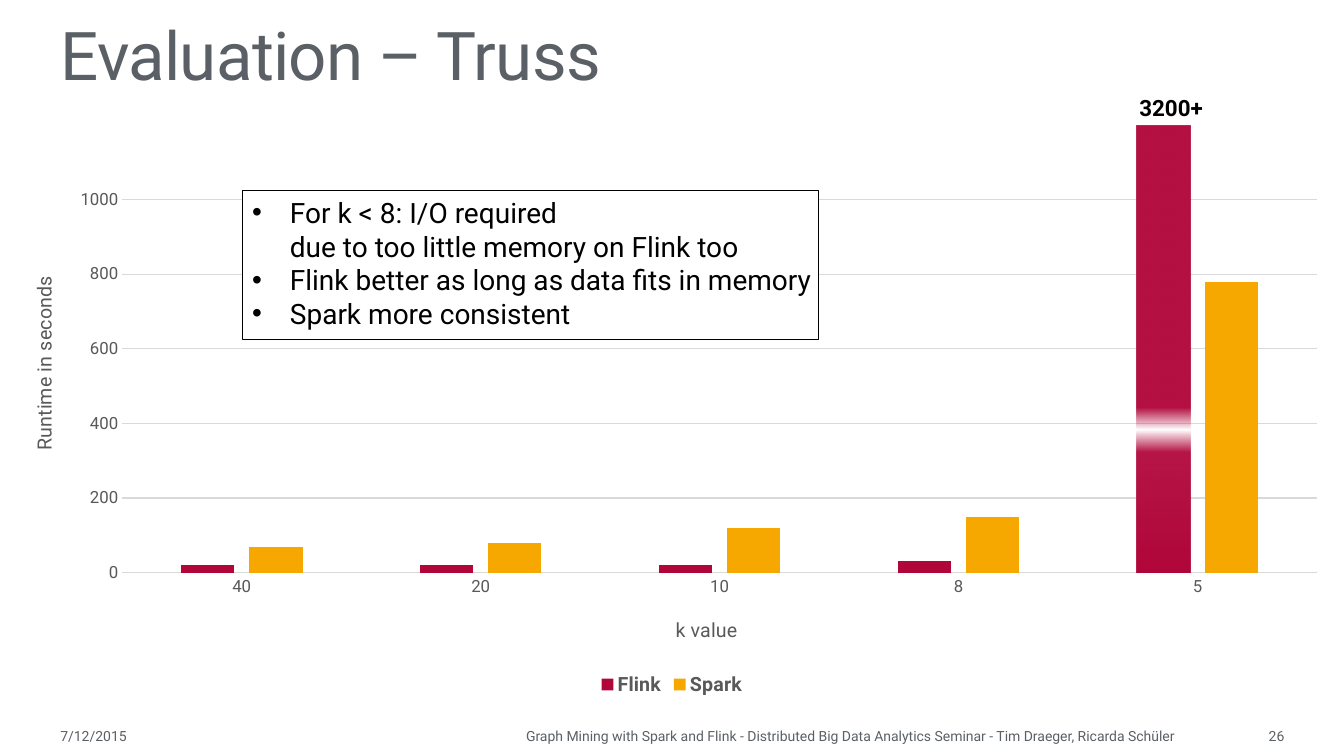
"""Build the Truss evaluation slide: a runtime chart with notes and a footer."""
from dataclasses import dataclass

from pptx import Presentation, oxml
from pptx import util as u
from pptx.chart import data as cd
from pptx.dml import color as co
from pptx.enum import chart as ch, shapes as sh, text as tx
from pptx.oxml import ns

FONT = "Roboto"
SLATE = co.RGBColor(0x5A, 0x60, 0x65)
GRAY = co.RGBColor(0x59, 0x59, 0x59)
PALE = co.RGBColor(0xD9, 0xD9, 0xD9)
BLACK = co.RGBColor(0, 0, 0)
WHITE = co.RGBColor(0xFF, 0xFF, 0xFF)
RED = co.RGBColor(0xB1, 0x06, 0x3A)
GOLD = co.RGBColor(0xF6, 0xA8, 0x00)
LEFT, MID, RIGHT = tx.PP_ALIGN.LEFT, tx.PP_ALIGN.CENTER, tx.PP_ALIGN.RIGHT


@dataclass
class Label:
    text: str
    box: tuple
    size: float
    color: co.RGBColor
    align: tx.PP_ALIGN = LEFT
    bold: bool = False
    wrap: bool = True
    anchor: tx.MSO_ANCHOR = tx.MSO_ANCHOR.MIDDLE


@dataclass
class Series:
    name: str
    vals: tuple
    color: co.RGBColor


@dataclass
class Stop:
    pos: int
    color: str
    alpha: int = 100


LABELS = [
    Label("7/12/2015", (36, 512, 75.5, 28), 10, SLATE),
    Label("Graph Mining with Spark and Flink - Distributed Big Data Analytics "
          "Seminar - Tim Draeger, Ricarda Schüler",
          (114.5, 512, 731.5, 28), 10, SLATE, RIGHT),
    Label("26", (849, 512, 75.5, 28), 10, SLATE, RIGHT),
]
PEAK = Label("3200+", (800.5, 64, 72, 35.5), 16, BLACK, MID, True, False,
             tx.MSO_ANCHOR.TOP)
SERIES = [
    Series("Flink", (20, 20, 20, 30, 3200), RED),
    Series("Spark", (70, 80, 120, 150, 780), GOLD),
]
STOPS = [Stop(63, "B41042"), Stop(68, "B1063A", 0), Stop(73, "B61647"),
         Stop(100, "B1063A")]
NOTES = [
    ("For k < 8: I/O required", "due to too little memory on Flink too"),
    ("Flink better as long as data fits in memory",),
    ("Spark more consistent",),
]


def style(font, size: float, color: co.RGBColor, bold: bool = False) -> None:
    font.name, font.size, font.bold = FONT, u.Pt(size), bold
    font.color.rgb = color


def place(shape, box: tuple) -> None:
    shape.left, shape.top, shape.width, shape.height = map(u.Pt, box)


def write(para, text: str, size: float, color: co.RGBColor, bold: bool = False):
    run = para.add_run()
    run.text = text
    style(run.font, size, color, bold)
    return run


def add_title(slide) -> None:
    title = slide.shapes.title
    place(title, (36, 0, 795, 71.25))
    frame = title.text_frame
    frame.vertical_anchor = tx.MSO_ANCHOR.BOTTOM
    frame.auto_size = tx.MSO_AUTO_SIZE.NONE
    para = frame.paragraphs[0]
    para.alignment, para.line_spacing = LEFT, 0.85
    run = write(para, "Evaluation – Truss", 48, SLATE)
    run.font._element.set("spc", "-50")


def add_label(slide, label: Label) -> None:
    frame = slide.shapes.add_textbox(*map(u.Pt, label.box)).text_frame
    frame.word_wrap, frame.vertical_anchor = label.wrap, label.anchor
    para = frame.paragraphs[0]
    para.alignment = label.align
    write(para, label.text, label.size, label.color, label.bold)


def set_layout(elem, inner: bool = False, **parts: float) -> None:
    old = elem.find(ns.qn("c:layout"))
    if old is None:
        old = oxml.parse_xml(f'<c:layout {ns.nsdecls("c")}/>')
        elem.insert(0, old)
    target = '<c:layoutTarget val="inner"/>' if inner else ""
    modes = "".join(f'<c:{key}Mode val="edge"/>' for key in "xy")
    sizes = "".join(f'<c:{key} val="{val}"/>' for key, val in parts.items())
    old.append(oxml.parse_xml(
        f'<c:manualLayout {ns.nsdecls("c")}>{target}{modes}{sizes}</c:manualLayout>'))


def format_axis(axis, name: str, x: float, y: float) -> None:
    axis.major_tick_mark = axis.minor_tick_mark = ch.XL_TICK_MARK.NONE
    style(axis.tick_labels.font, 12, GRAY)
    write(axis.axis_title.text_frame.paragraphs[0], name, 14, GRAY)
    set_layout(axis.axis_title.element, x=x, y=y)


def fade(chart) -> None:
    chart.plots[0].series[0].points[4].format.fill.gradient()
    old = chart.element.xpath(".//c:dPt/c:spPr/a:gradFill")[0]
    stops = "".join(
        f'<a:gs pos="{s.pos * 1000}"><a:srgbClr val="{s.color}">'
        f'<a:alpha val="{s.alpha * 1000}"/></a:srgbClr></a:gs>' for s in STOPS)
    new = oxml.parse_xml(
        f'<a:gradFill {ns.nsdecls("a")}><a:gsLst>{stops}</a:gsLst>'
        '<a:lin ang="5400000" scaled="0"/></a:gradFill>')
    old.getparent().replace(old, new)


def add_chart(slide) -> None:
    data = cd.CategoryChartData()
    data.categories = ["40", "20", "10", "8", "5"]
    for item in SERIES:
        data.add_series(item.name, item.vals)
    chart = slide.shapes.add_chart(
        ch.XL_CHART_TYPE.COLUMN_CLUSTERED,
        *map(u.Pt, (0, 81.5, 960, 419)), data).chart
    style(chart.font, 10, BLACK)
    chart.has_title = False
    chart.has_legend = True
    chart.legend.position = ch.XL_LEGEND_POSITION.BOTTOM
    chart.legend.include_in_layout = False
    style(chart.legend.font, 14, GRAY, True)
    plot = chart.plots[0]
    plot.gap_width, plot.overlap, plot.vary_by_categories = 219, -27, False
    for item, bars in zip(SERIES, plot.series):
        bars.invert_if_negative = False
        bars.format.fill.solid()
        bars.format.fill.fore_color.rgb = item.color
    fade(chart)
    cat, val = chart.category_axis, chart.value_axis
    format_axis(cat, "k value", 0.5, 0.85)
    format_axis(val, "Runtime in seconds", 0.02, 0.27)
    val.minimum_scale, val.maximum_scale, val.major_unit = 0, 1199, 200
    val.format.line.fill.background()
    for line in (cat.format.line, val.major_gridlines.format.line):
        line.color.rgb, line.width = PALE, u.Pt(0.75)
    area = chart.element.xpath(".//c:plotArea")[0]
    set_layout(area, True, x=0.091, y=0.019, w=0.889, h=0.763)


def add_notes(slide) -> None:
    box = slide.shapes.add_shape(
        sh.MSO_SHAPE.RECTANGLE, *map(u.Pt, (173, 136, 412, 106.5)))
    box.shadow.inherit = False
    box.fill.solid()
    box.fill.fore_color.rgb = WHITE
    box.line.color.rgb, box.line.width = BLACK, u.Pt(0.75)
    frame = box.text_frame
    frame.word_wrap, frame.vertical_anchor = False, tx.MSO_ANCHOR.TOP
    for num, lines in enumerate(NOTES):
        para = frame.add_paragraph() if num else frame.paragraphs[0]
        para.alignment = LEFT
        props = para._p.get_or_add_pPr()
        props.set("marL", str(u.Pt(27)))
        props.set("indent", str(u.Pt(-27)))
        for tag in ('buFont typeface="Arial"', 'buChar char="•"'):
            props.append(oxml.parse_xml(f'<a:{tag} {ns.nsdecls("a")}/>'))
        for row, line in enumerate(lines):
            if row:
                para.add_line_break()
            write(para, line, 20, BLACK)


def main() -> None:
    deck = Presentation()
    deck.slide_width, deck.slide_height = u.Pt(960), u.Pt(540)
    slide = deck.slides.add_slide(deck.slide_layouts[5])
    add_title(slide)
    for label in LABELS:
        add_label(slide, label)
    add_chart(slide)
    add_label(slide, PEAK)
    add_notes(slide)
    deck.save("out.pptx")


if __name__ == "__main__":
    main()
